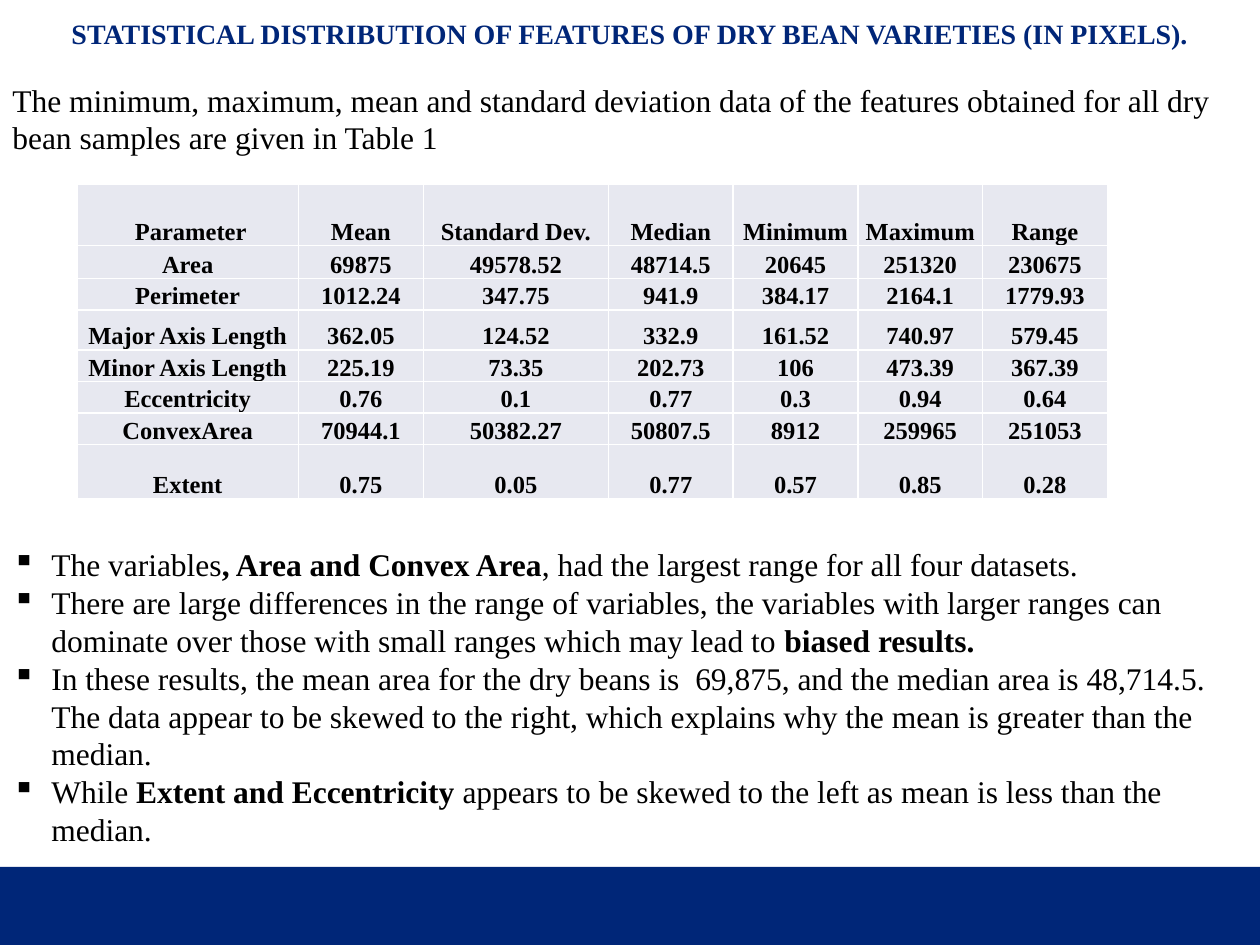
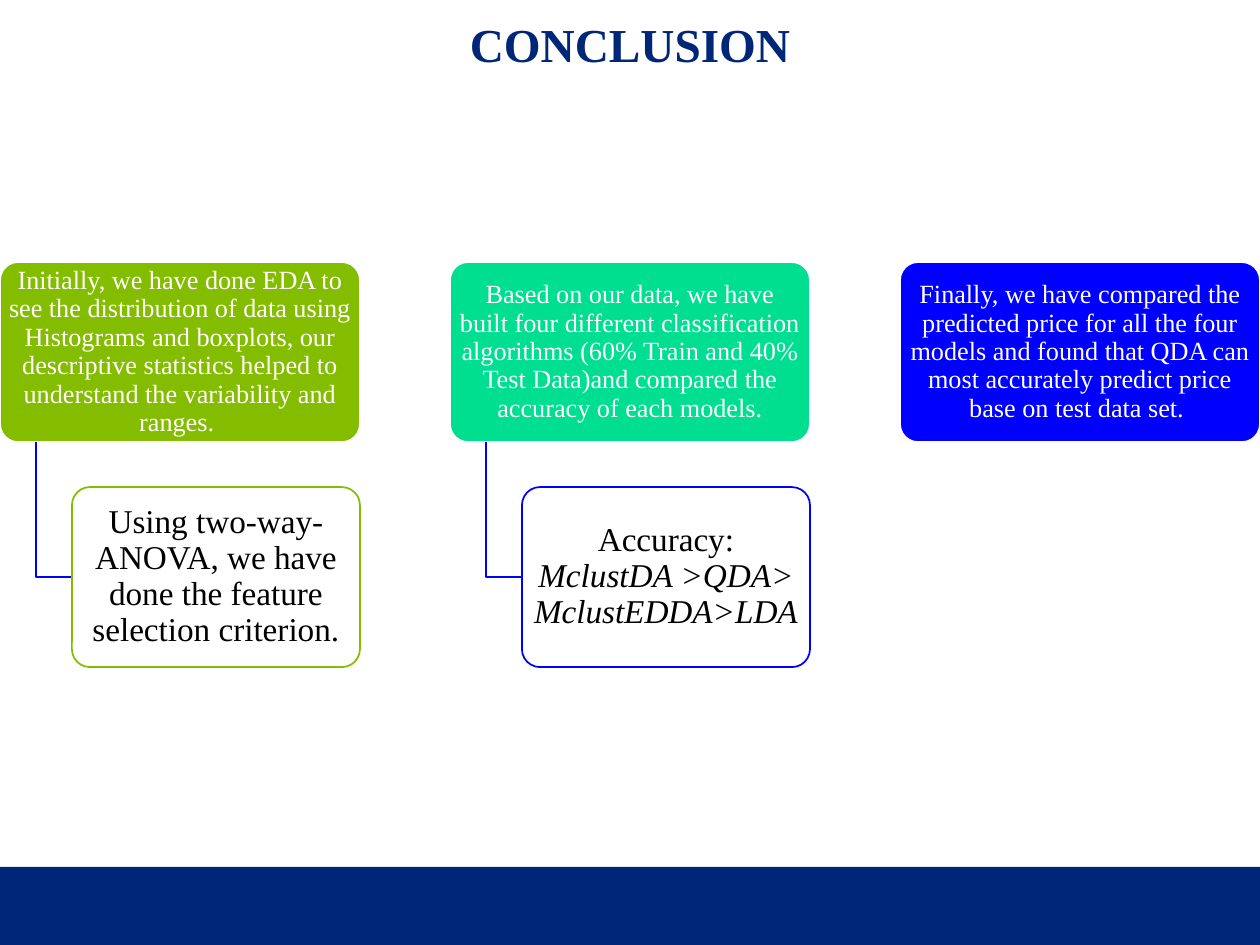
from pptx import Presentation
from pptx import util as u
from pptx.dml.color import RGBColor
from pptx.enum import shapes, text
from pptx.oxml.ns import qn
from lxml import etree

# Shared look
FONT = "Times New Roman"
NAVY = RGBColor(0x00, 0x26, 0x78)
WHITE = RGBColor(0xFF, 0xFF, 0xFF)
BLACK = RGBColor(0x00, 0x00, 0x00)
BLUE = RGBColor(0x00, 0x00, 0xFF)
LIME = RGBColor(0x84, 0xBD, 0x00)
MINT = RGBColor(0x00, 0xDE, 0x90)
CELL = RGBColor(0xE7, 0xE8, 0xF0)
SLIDE_W, SLIDE_H, BAND_H = 10, 7.5, 0.62
PLAIN, BOLD, ITALIC = "plain", "bold", "italic"

# Statistics slide
STATS_TITLE = "STATISTICAL DISTRIBUTION OF FEATURES OF DRY BEAN VARIETIES (IN PIXELS)."
INTRO = [[("The minimum, maximum, mean and standard deviation data of the features "
           "obtained for all dry bean samples are given in Table 1", PLAIN)]]
STATS = [
    (" Parameter", "Mean", "Standard Dev.", "Median", "Minimum", "Maximum", "Range"),
    ("Area", "69875", "49578.52", "48714.5", "20645", "251320", "230675"),
    ("Perimeter", "1012.24", "347.75", "941.9", "384.17", "2164.1", "1779.93"),
    ("Major Axis Length", "362.05", "124.52", "332.9", "161.52", "740.97", "579.45"),
    ("Minor Axis Length", "225.19", "73.35", "202.73", "106", "473.39", "367.39"),
    ("Eccentricity", "0.76", "0.1", "0.77", "0.3", "0.94", "0.64"),
    ("ConvexArea", "70944.1", "50382.27", "50807.5", "8912", "259965", "251053"),
    ("Extent", "0.75", "0.05", "0.77", "0.57", "0.85", "0.28"),
]
COL_W = [1.76, 0.99, 1.47] + [0.99] * 4
ROW_H = [0.49, 0.26, 0.25, 0.32, 0.25, 0.25, 0.25, 0.43]
FINDINGS = [
    [("The variables", PLAIN), (", Area and Convex Area", BOLD),
     (", had the largest range for all four datasets.", PLAIN)],
    [("There are large differences in the range of variables, the variables with larger "
      "ranges can dominate over those with small ranges which may lead to ", PLAIN),
     ("biased results.", BOLD)],
    [("In these results, the mean area for the dry beans is  69,875, and the median area is "
      "48,714.5. The data appear to be skewed to the right, which explains why the mean is "
      "greater than the median.", PLAIN)],
    [("While ", PLAIN), ("Extent and Eccentricity ", BOLD),
     ("appears to be skewed to the left as mean is less than the median.", PLAIN)],
]

# Conclusion slide: step text, step colour, detail text, detail outline
STEPS = [
    ("Initially, we have done EDA to see the distribution of data using Histograms and "
     "boxplots, our descriptive statistics helped to understand the variability and ranges. ",
     LIME, [("Using two-way-ANOVA, we have done the feature selection criterion.", PLAIN)], LIME),
    ("Based on our data, we have built four different classification algorithms (60% Train "
     "and 40% Test Data)and compared the accuracy of each models.",
     MINT, [("Accuracy: ", PLAIN), ("MclustDA >QDA> MclustEDDA>LDA", ITALIC)], BLUE),
    ("Finally, we have compared the predicted price for all the four models and found that "
     "QDA can most accurately predict price base on test data set. ", BLUE, None, None),
]
STEP_W = SLIDE_W / 3.5          # three steps with gaps of a quarter step
STEP_H = STEP_W / 2
STEP_PITCH = STEP_W * 1.25
STEP_TOP = 2.08
INDENT = STEP_W / 10


def inches(*values):
    return [u.Inches(v) for v in values]


def set_insets(obj, left, top, right, bottom):
    obj.margin_left, obj.margin_top, obj.margin_right, obj.margin_bottom = inches(
        left, top, right, bottom)


def write(p, runs, size, color):
    for words, style in runs:
        r = p.add_run()
        r.text = words
        f = r.font
        f.name, f.size, f.color.rgb = FONT, u.Pt(size), color
        f.bold, f.italic = style == BOLD, style == ITALIC


def new_slide(prs, title, size, height):
    s = prs.slides.add_slide(prs.slide_layouts[5])
    sp = s.shapes.title
    sp.left, sp.top, sp.width, sp.height = inches(0, 0, SLIDE_W, height)
    tf = sp.text_frame
    tf.auto_size, tf.word_wrap = text.MSO_AUTO_SIZE.NONE, True
    tf.vertical_anchor = text.MSO_ANCHOR.BOTTOM
    set_insets(tf, 0.07, 0.04, 0.07, 0.04)
    p = tf.paragraphs[0]
    p.alignment, p.line_spacing = text.PP_ALIGN.CENTER, 0.9
    write(p, [(title, BOLD)], size, NAVY)
    # Footer band
    band = s.shapes.add_shape(shapes.MSO_SHAPE.RECTANGLE,
                              *inches(0, SLIDE_H - BAND_H, SLIDE_W, BAND_H))
    band.shadow.inherit = False
    band.fill.solid()
    band.fill.fore_color.rgb = NAVY
    band.line.fill.background()
    return s


def add_body(s, top, height, paragraphs, bullet=None):
    tf = s.shapes.add_textbox(*inches(0, top, SLIDE_W, height)).text_frame
    tf.word_wrap = True
    for i, runs in enumerate(paragraphs):
        p = tf.add_paragraph() if i else tf.paragraphs[0]
        write(p, runs, 18, BLACK)
        if bullet:
            pPr = p._p.get_or_add_pPr()
            pPr.set("marL", str(u.Inches(0.31)))
            pPr.set("indent", str(-u.Inches(0.31)))
            etree.SubElement(pPr, qn("a:buChar"), char=bullet)


def add_stats_table(s):
    frame = s.shapes.add_table(len(ROW_H), len(COL_W),
                               *inches(0.61, 1.46, sum(COL_W), sum(ROW_H)))
    table = frame.table
    table.first_row = table.horz_banding = False
    for col, width in zip(table.columns, COL_W):
        col.width = u.Inches(width)
    for row, height, values in zip(table.rows, ROW_H, STATS):
        row.height = u.Inches(height)
        for cell, value in zip(row.cells, values):
            cell.fill.solid()
            cell.fill.fore_color.rgb = CELL
            cell.vertical_anchor = text.MSO_ANCHOR.BOTTOM
            set_insets(cell, 0.01, 0.01, 0.01, 0)
            p = cell.text_frame.paragraphs[0]
            p.alignment = text.PP_ALIGN.CENTER
            write(p, [(value, BOLD)], 14, BLACK)


def add_card(s, left, top, width, runs, size, color, fill, outline, inset):
    sp = s.shapes.add_shape(shapes.MSO_SHAPE.ROUNDED_RECTANGLE,
                            *inches(left, top, width, STEP_H))
    sp.adjustments[0] = 0.1
    sp.shadow.inherit = False
    sp.fill.solid()
    sp.fill.fore_color.rgb = fill
    sp.line.color.rgb, sp.line.width = outline, u.Pt(1)
    tf = sp.text_frame
    tf.word_wrap, tf.vertical_anchor = True, text.MSO_ANCHOR.MIDDLE
    set_insets(tf, inset, inset - 0.01, inset, inset - 0.01)
    p = tf.paragraphs[0]
    p.alignment, p.line_spacing = text.PP_ALIGN.CENTER, 0.9
    write(p, runs, size, color)
    return sp


def add_elbow(s, left, top, width, height):
    x, y, right, bottom = inches(left, top, left + width, top + height)
    builder = s.shapes.build_freeform(x, y)
    builder.add_line_segments([(x, bottom), (right, bottom)], close=False)
    sp = builder.convert_to_shape()
    sp.shadow.inherit = False
    sp.fill.background()
    sp.line.color.rgb, sp.line.width = BLUE, u.Pt(1)


def build_stats(prs):
    s = new_slide(prs, STATS_TITLE, 16, 0.44)
    add_body(s, 4.28, 3.06, FINDINGS, bullet="▪")
    add_body(s, 0.59, 1.01, INTRO)
    add_stats_table(s)


def build_conclusion(prs):
    s = new_slide(prs, "CONCLUSION", 27, 0.62)
    detail_top = STEP_TOP + STEP_H * 1.25
    for i, (step, fill, detail, outline) in enumerate(STEPS):
        left = i * STEP_PITCH
        add_card(s, left, STEP_TOP, STEP_W, [(step, PLAIN)], 15, WHITE, fill, WHITE, 0.03)
        if detail:
            add_elbow(s, left + INDENT, STEP_TOP + STEP_H, INDENT, STEP_H * 0.75)
            sp = add_card(s, left + 2 * INDENT, detail_top, STEP_W - 2 * INDENT,
                          detail, 19, BLACK, WHITE, outline, 0.04)
            clr = sp._element.spPr.find(qn("a:solidFill"))[0]
            etree.SubElement(clr, qn("a:alpha"), val="90000")


def main():
    prs = Presentation()
    prs.slide_width, prs.slide_height = inches(SLIDE_W, SLIDE_H)
    build_stats(prs)
    build_conclusion(prs)
    prs.save("out.pptx")


if __name__ == "__main__":
    main()
